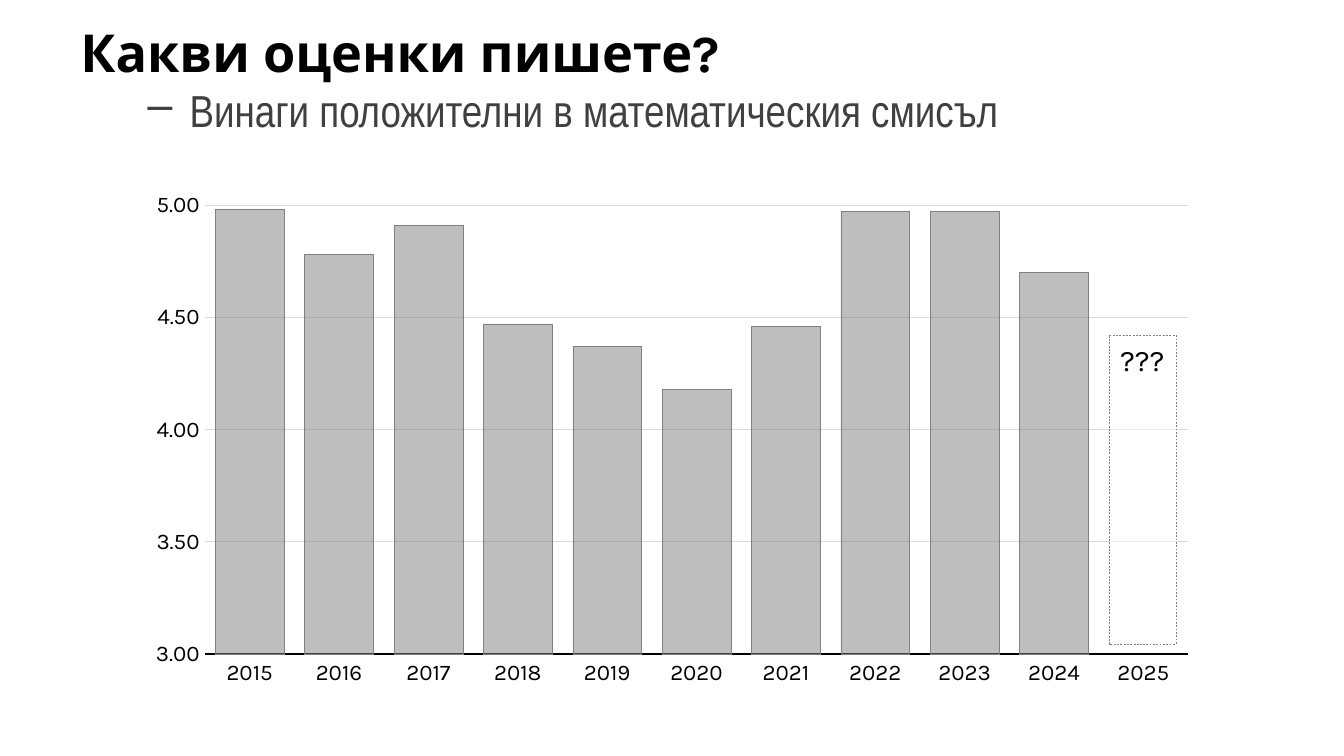
from lxml import etree
from pptx import Presentation
from pptx import util as u
from pptx.chart import data as chart_data
from pptx.dml import color
from pptx.enum import chart as chart_enum
from pptx.enum import dml, shapes, text
from pptx.oxml import ns

BODY_FONT = "Karla"
YEARS = range(2015, 2026)
GRADES = [4.98, 4.78, 4.91, 4.47, 4.37, 4.18, 4.46, 4.97, 4.97, 4.7, None]


def rgb(value):
    """Turn a hex string into a colour."""
    return color.RGBColor.from_string(value)


def style_font(font, size, name=BODY_FONT, shade="000000", bold=False):
    """Set the face, size, colour and weight of a font."""
    font.name = name
    font.size = u.Pt(size)
    font.bold = bold
    font.color.rgb = rgb(shade)


def style_line(line, shade, width):
    """Give a line a solid colour and a width."""
    line.color.rgb = rgb(shade)
    line.width = u.Pt(width)


def fill_half_clear(fill, shade):
    """Fill with a colour at half opacity."""
    fill.solid()
    fill.fore_color.rgb = rgb(shade)
    solid = fill._xPr.find(ns.qn("a:solidFill"))
    etree.SubElement(solid[0], ns.qn("a:alpha"), val="50000")


def add_bullet(para, sign, margin, indent):
    """Hang a bullet sign in front of a paragraph."""
    props = para._p.get_or_add_pPr()
    props.set("marL", str(u.Pt(margin)))
    props.set("indent", str(u.Pt(indent)))
    etree.SubElement(props, ns.qn("a:buChar"), char=sign)


def add_heading(page):
    """Add the question and the bulleted answer below it."""
    box = page.shapes.add_textbox(u.Pt(36), u.Pt(10.8), u.Pt(684), u.Pt(90))
    frame = box.text_frame
    frame.word_wrap = True
    frame.margin_top = 0
    title = frame.paragraphs[0]
    title.text = "Какви оценки пишете?"
    style_font(title.runs[0].font, 28, bold=True)
    answer = frame.add_paragraph()
    answer.text = "Винаги положителни в математическия смисъл"
    answer.level = 1
    add_bullet(answer, "–", 58.5, -22.5)
    style_font(answer.runs[0].font, 24, "Arial Narrow", "404040")


def style_axis(axis):
    """Remove tick marks and set the label font of an axis."""
    axis.major_tick_mark = chart_enum.XL_TICK_MARK.NONE
    axis.minor_tick_mark = chart_enum.XL_TICK_MARK.NONE
    style_font(axis.tick_labels.font, 12)


def add_grade_chart(page):
    """Add the column chart of grades by year."""
    data = chart_data.CategoryChartData(number_format="0.00")
    data.categories = [str(year) for year in YEARS]
    data.add_series("Series 1", GRADES)
    chart = page.shapes.add_chart(
        chart_enum.XL_CHART_TYPE.COLUMN_CLUSTERED,
        u.Pt(72), u.Pt(97.2), u.Pt(576), u.Pt(275.76), data).chart
    chart.has_legend = False
    chart.has_title = False
    style_font(chart.font, 10)

    style_axis(chart.category_axis)
    style_line(chart.category_axis.format.line, "000000", 0.75)
    scale = chart.value_axis
    style_axis(scale)
    scale.format.line.fill.background()
    scale.minimum_scale, scale.maximum_scale, scale.major_unit = 3, 5, 0.5
    scale.tick_labels.number_format = "#,##0.00"
    scale.tick_labels.number_format_is_linked = False
    style_line(scale.major_gridlines.format.line, "D9D9D9", 0.25)

    plot = chart.plots[0]
    plot.vary_by_categories = False
    plot.gap_width = 30
    plot.overlap = -27
    bars = plot.series[0].format
    fill_half_clear(bars.fill, "7F7F7F")
    style_line(bars.line, "808080", 0.25)


def add_unknown_bar(page):
    """Add the dashed bar that stands for the open year."""
    bar = page.shapes.add_shape(shapes.MSO_SHAPE.RECTANGLE,
                                u.Pt(594), u.Pt(179.5), u.Pt(36), u.Pt(165.6))
    bar.shadow.inherit = False
    fill_half_clear(bar.fill, "FFFFFF")
    style_line(bar.line, "808080", 0.25)
    bar.line.dash_style = dml.MSO_LINE.DASH
    frame = bar.text_frame
    frame.margin_left = frame.margin_right = 0
    frame.vertical_anchor = text.MSO_ANCHOR.TOP
    frame.text = "???"
    para = frame.paragraphs[0]
    para.alignment = text.PP_ALIGN.CENTER
    style_font(para.runs[0].font, 16)


def main():
    """Build the slide and save it."""
    deck = Presentation()
    deck.slide_width, deck.slide_height = u.Pt(720), u.Pt(405)
    page = deck.slides.add_slide(deck.slide_layouts[6])
    add_heading(page)
    add_grade_chart(page)
    add_unknown_bar(page)
    deck.save("out.pptx")


if __name__ == "__main__":
    main()
